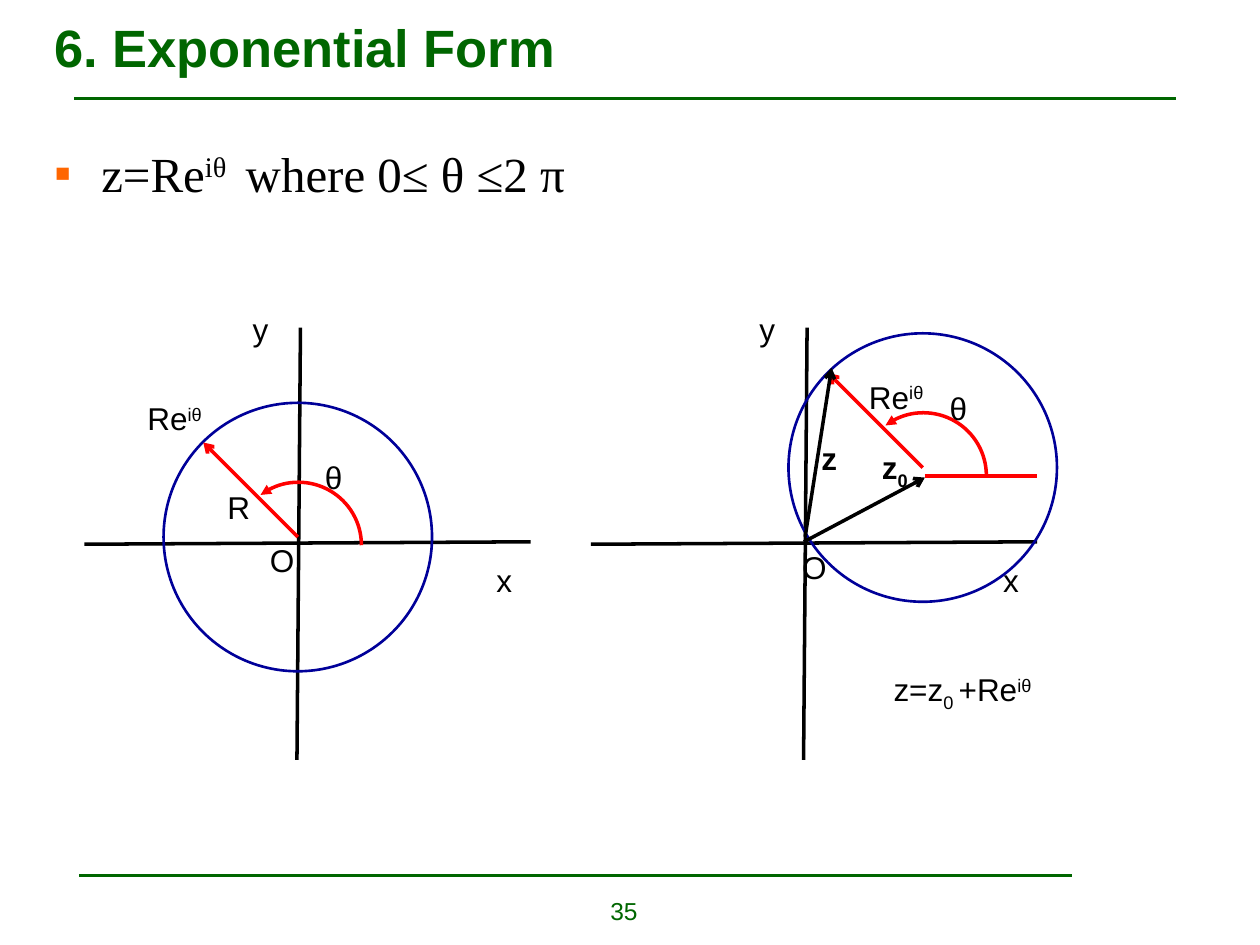
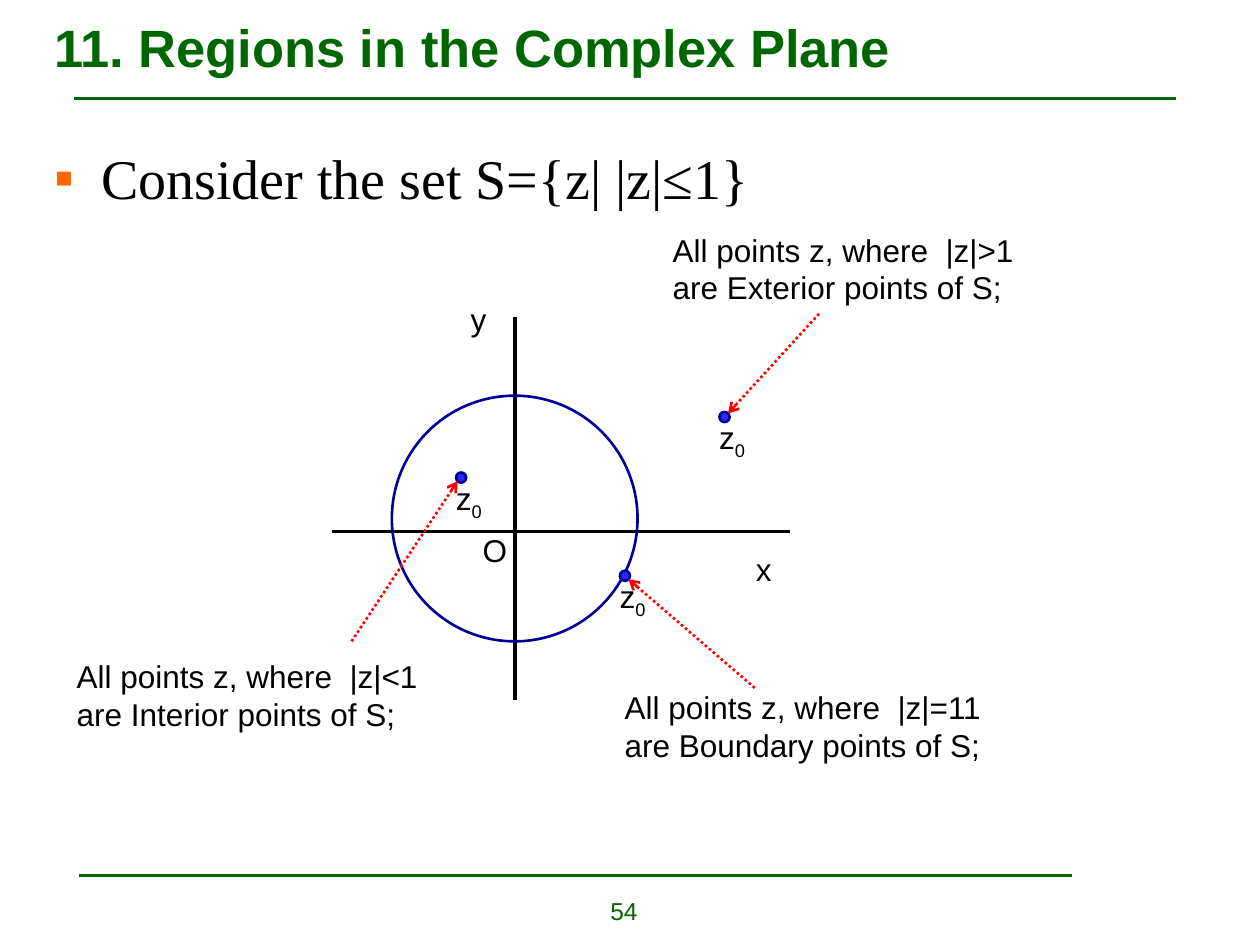
from math import copysign

from pptx import Presentation
from pptx import util as u
from pptx.dml.color import RGBColor
from pptx.enum import dml, shapes, text
from pptx.oxml import ns, xmlchemy

GREEN, ORANGE, BLACK = "006600", "FF6600", "000000"
NAVY, BLUE, RED = "000099", "2929FF", "FF0000"
SUPERSCRIPT, SUBSCRIPT = 30000, -25000
RE_I_THETA = [("Re", 0), ("iθ", SUPERSCRIPT)]
Z_ZERO = [("z", 0), ("0", SUBSCRIPT)]
Z_ZERO_WIDTH = 36
LABEL_HEIGHT = 29


def color(hex_string):
    return RGBColor.from_string(hex_string)


def points(*lengths):
    return [u.Pt(length) for length in lengths]


def add_child(parent, tag, **attributes):
    child = xmlchemy.OxmlElement(tag)
    for name, value in attributes.items():
        child.set(name, value)
    parent.append(child)
    return child


def add_text(slide, box, lines, size=18, font="Arial", hex_color=BLACK, bold=False, wrap=False):
    """Each line is a string or a list of (string, baseline) runs."""
    shape = slide.shapes.add_textbox(*points(*box))
    frame = shape.text_frame
    frame.word_wrap = wrap
    for index, line in enumerate(lines):
        paragraph = frame.add_paragraph() if index else frame.paragraphs[0]
        paragraph.font.size = u.Pt(size)
        paragraph.font.name = font
        paragraph.font.bold = bold
        paragraph.font.color.rgb = color(hex_color)
        for words, baseline in [(line, 0)] if isinstance(line, str) else line:
            run = paragraph.add_run()
            run.text = words
            if baseline:
                run._r.get_or_add_rPr().set("baseline", str(baseline))
    return frame


def add_label(slide, left, top, width, line, bold=False):
    add_text(slide, (left, top, width, LABEL_HEIGHT), [line], bold=bold)


def add_line(slide, start, end, hex_color=BLACK, width=2, arrow=False, dotted=False):
    line = slide.shapes.add_connector(
        shapes.MSO_CONNECTOR.STRAIGHT, *points(*start, *end))
    line.line.color.rgb = color(hex_color)
    line.line.width = u.Pt(width)
    if dotted:
        line.line.dash_style = dml.MSO_LINE.ROUND_DOT
    if arrow:
        add_child(line.get_or_add_ln(), "a:tailEnd", type="arrow")
    add_child(line.element.spPr, "a:effectLst")


def add_outline(slide, preset, box, hex_color, width, fill=None):
    shape = slide.shapes.add_shape(preset, *points(*box))
    shape.shadow.inherit = False
    if fill:
        shape.fill.solid()
        shape.fill.fore_color.rgb = color(fill)
    else:
        shape.fill.background()
    shape.line.color.rgb = color(hex_color)
    shape.line.width = u.Pt(width)
    return shape


def add_circle(slide, center, diameter, fill=None):
    left, top = (middle - diameter / 2 for middle in center)
    add_outline(slide, shapes.MSO_SHAPE.OVAL, (left, top, diameter, diameter), NAVY, 1.5, fill)


def add_bullet(paragraph, size):
    paragraph.space_before = u.Pt(size / 4)
    properties = paragraph._p.get_or_add_pPr()
    properties.set("marL", str(u.Pt(27)))
    properties.set("indent", str(u.Pt(-27)))
    bullet_color = xmlchemy.OxmlElement("a:buClr")
    add_child(bullet_color, "a:srgbClr", val=ORANGE)
    bullet_font = xmlchemy.OxmlElement("a:buFont")
    bullet_font.set("typeface", "Arial")
    bullet = xmlchemy.OxmlElement("a:buChar")
    bullet.set("char", "▪")
    defaults = properties.find(ns.qn("a:defRPr"))
    for element in (bullet_color, bullet_font, bullet):
        defaults.addprevious(element)


def add_framed_slide(presentation, title, statement, statement_size, number):
    """Add a slide with the title, both rules, the bullet and the page number."""
    slide = presentation.slides.add_slide(presentation.slide_layouts[6])
    add_line(slide, (42.5, 56.2), (671.8, 56.2), GREEN, 1.5)
    add_line(slide, (45.4, 500.4), (612.7, 500.4), GREEN, 1.5)
    body = add_text(slide, (23.8, 78.5, 672.5, 416.2), [statement],
                    statement_size, "Times New Roman", wrap=True)
    add_bullet(body.paragraphs[0], statement_size)
    heading = add_text(slide, (23.8, 2, 672.5, 49), [title], 30,
                       hex_color=GREEN, bold=True, wrap=True)
    heading.vertical_anchor = text.MSO_ANCHOR.MIDDLE
    footer = add_text(slide, (298, 508.3, 73.4, 26), [str(number)], 14,
                      hex_color=GREEN, wrap=True)
    footer.paragraphs[0].alignment = text.PP_ALIGN.RIGHT
    return slide


def draw_axes(slide, box, axis_offset, origin_label, tilt=0):
    """The vertical axis meets the top of the box at axis_offset from its left."""
    left, top, width, height = box
    right, level, axis_x = left + width, top + 122.4, left + axis_offset
    add_line(slide, (left, level + tilt * 0.7), (right, level))
    add_line(slide, (axis_x - tilt, top + height), (axis_x, top))
    add_label(slide, right - 26.6, level + 7.2, 25, "x")
    add_label(slide, axis_x - tilt - 32.4, top - 13.7, 25, "y")
    label_left, label_top = origin_label
    add_label(slide, left + label_left, level + label_top, 30, "O")


def draw_polar_circle(slide, center, radius_label):
    """Circle with its radius vector and angle; radius_label is relative to center."""
    x, y = center
    add_circle(slide, center, 153.4)
    add_line(slide, center, (x - 54, y - 54), RED, arrow=True)
    arc = add_outline(slide, shapes.MSO_SHAPE.ARC, (x - 35.6, y - 31.3, 72, 72), RED, 2)
    arc.adjustments[0] = 233 * 0.6  # degrees, in units of 100000/60000
    arc.adjustments[1] = 0
    add_child(arc.get_or_add_ln(), "a:headEnd", type="triangle")
    add_label(slide, x + 8.3, y - 48.6, 26, "θ")
    add_label(slide, x + radius_label[0], y + radius_label[1], 50, RE_I_THETA)


def draw_centered_form(slide, left, top):
    draw_axes(slide, (left, top, 255, 247), 123.5, (99, -4), tilt=2)
    draw_polar_circle(slide, (left + 122, top + 119.7), (-93, -82.4))
    add_label(slide, left + 74.7, top + 88, 30, "R")


def draw_shifted_form(slide, left, top):
    draw_axes(slide, (left, top, 255, 247), 123.5, (113.6, 0), tilt=2)
    draw_polar_circle(slide, (left + 189.6, top + 80), (-37.8, -55))
    add_line(slide, (left + 121.7, top + 122.4), (left + 190.8, top + 85.7), arrow=True)
    add_line(slide, (left + 122.4, top + 119.5), (left + 137.5, top + 23), arrow=True)
    add_line(slide, (left + 190.8, top + 84.8), (left + 254.9, top + 84.8), RED, 1.75)
    add_label(slide, left + 159.1, top + 65.5, Z_ZERO_WIDTH, Z_ZERO, bold=True)
    add_label(slide, left + 124.6, top + 60.3, 25, "z", bold=True)
    add_label(slide, left + 165.8, top + 192.2, 110,
              [("z=z", 0), ("0 ", SUBSCRIPT), ("+Re", 0), ("iθ", SUPERSCRIPT)])


def draw_region_point(slide, center, arrow_start, note_box, relation, kind):
    """Marked point z0 with a note and the dotted arrow from one to the other."""
    x, y = center
    add_label(slide, x - 10.1, y - 2.9, Z_ZERO_WIDTH, Z_ZERO)
    add_circle(slide, center, 5.8, BLUE)
    arrow_end = [middle + copysign(2, start - middle)
                 for middle, start in zip(center, arrow_start)]
    add_line(slide, arrow_start, arrow_end, RED, 1.5, arrow=True, dotted=True)
    add_text(slide, note_box, [f"All points z, where  {relation}", f"are {kind} points of S;"])


def build_exponential_form(presentation):
    statement = [("z=Re", 0), ("iθ ", SUPERSCRIPT), (" where 0≤ θ ≤2 π", 0)]
    slide = add_framed_slide(presentation, "6. Exponential Form", statement, 28, 35)
    draw_centered_form(slide, 48.2, 187.2)
    draw_shifted_form(slide, 337.7, 187.2)


def build_regions(presentation):
    slide = add_framed_slide(presentation, "11. Regions in the Complex Plane",
                             "Consider the set S={z| |z|≤1}", 32, 54)
    draw_axes(slide, (190, 181.4, 261.4, 218.9), 104.3, (78.7, -4))
    add_circle(slide, (294.1, 296.3), 140.4)
    regions = [
        ((414, 238.3), (468, 179.3), (377.3, 128.2, 220, 50.4), "|z|>1", "Exterior"),
        ((263.5, 272.9), (200.9, 366.5), (36.7, 372.2, 220, 50.4), "|z|<1", "Interior"),
        ((357.1, 329), (431.3, 393.1), (349.9, 389.5, 230, 50.4), "|z|=11", "Boundary"),
    ]
    for region in regions:
        draw_region_point(slide, *region)


def main():
    presentation = Presentation()
    presentation.slide_width, presentation.slide_height = points(720, 540)
    build_exponential_form(presentation)
    build_regions(presentation)
    presentation.save("out.pptx")


if __name__ == "__main__":
    main()
